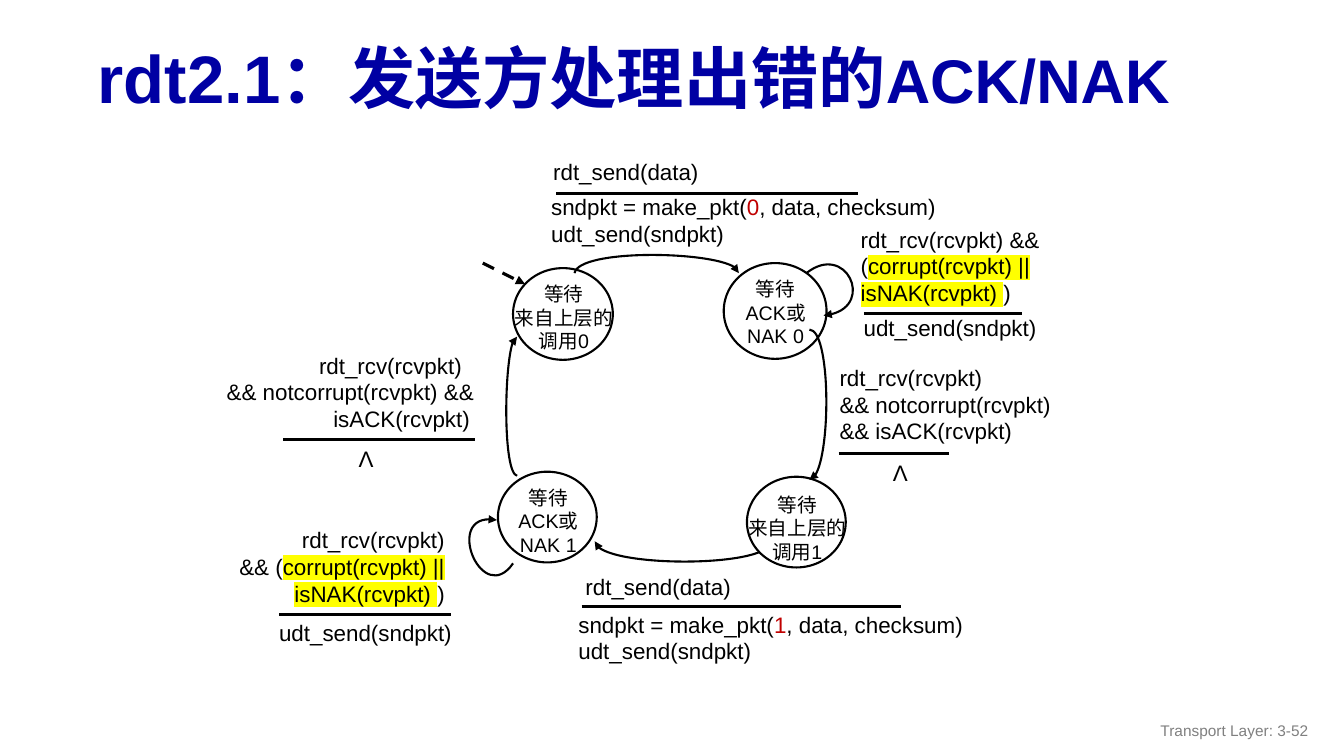
import dataclasses

import lxml.etree
import pptx
import pptx.dml.color
import pptx.enum.dml
import pptx.enum.shapes
import pptx.enum.text
import pptx.oxml.ns
import pptx.util

qn = pptx.oxml.ns.qn
Align = pptx.enum.text.PP_ALIGN
Anchor = pptx.enum.text.MSO_ANCHOR


@dataclasses.dataclass(frozen=True)
class Theme:
    font: str = "Arial"
    ink: str = "000000"
    navy: str = "0000A3"
    red: str = "C00000"
    mark: str = "FFFF00"
    gray: str = "808080"
    paper: str = "FFFFFF"
    title: int = 48
    latin: int = 44
    label: int = 16
    state: int = 14
    foot: int = 11
    thin: float = 1.5
    thick: float = 2.25


class Board:
    def __init__(self, deck, theme, cols=80, rows=45):
        self.theme = theme
        self.wide = deck.slide_width / cols
        self.high = deck.slide_height / rows
        self.slide = deck.slides.add_slide(deck.slide_layouts[5])
        self.shapes = self.slide.shapes

    def scale(self, *nums):
        units = (self.wide, self.high)
        return [round(num * units[i % 2]) for i, num in enumerate(nums)]

    def color(self, code):
        return pptx.dml.color.RGBColor.from_string(code)

    def run(self, para, text, size, color, mark=False, bold=False):
        run = para.add_run()
        run.text = text
        font = run.font
        font.size = pptx.util.Pt(size)
        font.bold = bold
        font.color.rgb = self.color(color)
        props = run._r.get_or_add_rPr()
        if mark:
            glow = lxml.etree.SubElement(props, qn("a:highlight"))
            lxml.etree.SubElement(glow, qn("a:srgbClr"), val=self.theme.mark)
        font.name = self.theme.font
        lxml.etree.SubElement(props, qn("a:ea"), typeface=self.theme.font)

    def title(self, spot, parts):
        box = self.shapes.title
        box.left, box.top, box.width, box.height = self.scale(*spot)
        frame = box.text_frame
        frame.auto_size = pptx.enum.text.MSO_AUTO_SIZE.NONE
        frame.vertical_anchor = Anchor.MIDDLE
        para = frame.paragraphs[0]
        para.alignment = Align.LEFT
        para.line_spacing = 0.9
        for text, size in parts:
            self.run(para, text, size, self.theme.navy, bold=True)

    def text(self, spot, lines, size=None, color=None, align=Align.LEFT,
             anchor=Anchor.TOP, wrap=True, pads=()):
        frame = self.shapes.add_textbox(*self.scale(*spot)).text_frame
        frame.word_wrap = wrap
        frame.vertical_anchor = anchor
        for i, line in enumerate(lines):
            para = frame.add_paragraph() if i else frame.paragraphs[0]
            para.alignment = align
            if i < len(pads):
                para._p.get_or_add_pPr().set("marR", str(pptx.util.Inches(pads[i])))
            for part in [line] if isinstance(line, str) else line:
                words, look = (part, "") if isinstance(part, str) else part
                tint = self.theme.red if look == "red" else color or self.theme.ink
                self.run(para, words, size or self.theme.label, tint, look == "mark")

    def stroke(self, shape, width, dash=False, arrow=False):
        line = shape.line
        line.color.rgb = self.color(self.theme.ink)
        line.width = pptx.util.Pt(width)
        if dash:
            line.dash_style = pptx.enum.dml.MSO_LINE.DASH
        if arrow:
            lxml.etree.SubElement(line._get_or_add_ln(), qn("a:tailEnd"), type="triangle")

    def state(self, spot, area, lines):
        oval = self.shapes.add_shape(pptx.enum.shapes.MSO_SHAPE.OVAL, *self.scale(*spot))
        oval.shadow.inherit = False
        oval.fill.solid()
        oval.fill.fore_color.rgb = self.color(self.theme.paper)
        self.stroke(oval, self.theme.thin)
        self.text(area, lines, self.theme.state, align=Align.CENTER)

    def line(self, ends, dash=False, arrow=False):
        kind = pptx.enum.shapes.MSO_CONNECTOR.STRAIGHT
        rule = self.shapes.add_connector(kind, *self.scale(*ends))
        self.stroke(rule, self.theme.thick, dash, arrow)
        lxml.etree.SubElement(rule._element.spPr, qn("a:effectLst"))

    def rule(self, left, right, row):
        self.line((left, row, right, row))

    def curve(self, start, *bends):
        draft = self.shapes.build_freeform(*self.scale(*start))
        draft.add_line_segments([self.scale(*bend) for bend in bends], close=False)
        arc = draft.convert_to_shape()
        trail = next(arc._element.iter(qn("a:path")))
        cubic = lxml.etree.SubElement(trail, qn("a:cubicBezTo"))
        for step in trail.findall(qn("a:lnTo")):
            cubic.append(step[0])
            trail.remove(step)
        arc.shadow.inherit = False
        arc.fill.background()
        self.stroke(arc, self.theme.thin, arrow=True)


def make_call(bit):
    return [["sndpkt = make_pkt(", (bit, "red"), ", data, checksum)"], "udt_send(sndpkt)"]


def wait_call(bit):
    return ["等待", "来自上层的调用" + bit]


def wait_ack(bit):
    return ["等待", "ACK或", "NAK " + bit]


def main():
    deck = pptx.Presentation()
    deck.slide_width = pptx.util.Inches(13.33)
    deck.slide_height = pptx.util.Inches(7.5)
    theme = Theme()
    board = Board(deck, theme)
    bad = ("corrupt(rcvpkt) ||", "mark")
    nak = [("isNAK(rcvpkt) ", "mark"), ")"]

    board.title((5.22, 1.92, 72.84, 5.88),
                [("rdt2.1：发送方处理出错的", theme.title), ("ACK/NAK", theme.latin)])

    board.state((30.54, 15.96, 5.94, 5.46), (30, 16.5, 7.14, 4.02), wait_call("0"))
    board.line((28.74, 15.66, 31.26, 16.92), dash=True, arrow=True)
    board.state((43.08, 15.66, 6.12, 5.7), (42.6, 16.2, 7.14, 4.26), wait_ack("0"))

    board.text((32.22, 11.22, 26.28, 2.64), make_call("0"))
    board.text((32.34, 9.12, 13.86, 1.98), ["rdt_send(data)"])
    board.rule(33.12, 51.06, 11.52)
    board.curve((34.2, 16.26), (34.44, 14.82), (43.98, 14.94), (43.98, 16.26))

    board.curve((48, 16.26), (50.34, 14.4), (52.26, 18.48), (49.02, 18.78))
    board.text((50.82, 18.42, 14.82, 2.64), ["udt_send(sndpkt)"])
    board.text((50.64, 13.14, 20.88, 3.72), ["rdt_rcv(rcvpkt) &&", ["(", bad], nak])
    board.rule(51.42, 60.84, 18.66)

    board.curve((45.9, 32.22), (45.9, 33.72), (35.58, 33.84), (35.4, 32.22))
    board.text((33.84, 36.06, 24.72, 2.64), make_call("1"))
    board.text((34.26, 33.84, 15.66, 1.86), ["rdt_send(data)"])
    board.rule(34.62, 53.64, 36.12)

    board.curve((30.54, 33.54), (28.74, 36.12), (26.28, 30.36), (29.58, 30.96))
    board.text((16.02, 36.54, 11.94, 1.8), ["udt_send(sndpkt)"])
    board.text((11.76, 31.02, 15.66, 3.72), ["rdt_rcv(rcvpkt)", ["&& (", bad], nak],
               align=Align.RIGHT, pads=(0.06,))
    board.rule(16.62, 26.82, 36.6)

    board.state((44.46, 28.38, 5.88, 5.4), (43.8, 29.04, 7.32, 4.02), wait_call("1"))
    board.state((29.64, 28.08, 5.88, 5.4), (29.22, 28.62, 6.84, 4.02), wait_ack("1"))

    board.curve((48.18, 19.62), (49.44, 19.62), (49.5, 28.38), (48.18, 28.56))
    board.text((49.38, 21.36, 19.68, 3.72),
               ["rdt_rcv(rcvpkt)", "&& notcorrupt(rcvpkt)", "&& isACK(rcvpkt)"])
    board.rule(49.92, 56.46, 27)
    board.text((52.56, 27.06, 2.16, 2.22), ["Λ"], wrap=False)

    board.curve((30.78, 28.32), (29.94, 28.14), (30, 20.04), (30.78, 20.04))
    board.text((5.04, 20.64, 23.76, 3.72),
               ["rdt_rcv(rcvpkt)", "&& notcorrupt(rcvpkt) &&", "isACK(rcvpkt)"],
               align=Align.RIGHT, pads=(0.12, 0, 0.04))
    board.rule(16.86, 28.26, 26.16)
    board.text((20.76, 26.22, 2.16, 2.22), ["Λ"], wrap=False)

    board.text((60.48, 42.3, 18, 2.4), ["Transport Layer: 3-52"], theme.foot,
               theme.gray, Align.RIGHT, Anchor.MIDDLE)
    deck.save("out.pptx")


if __name__ == "__main__":
    main()
